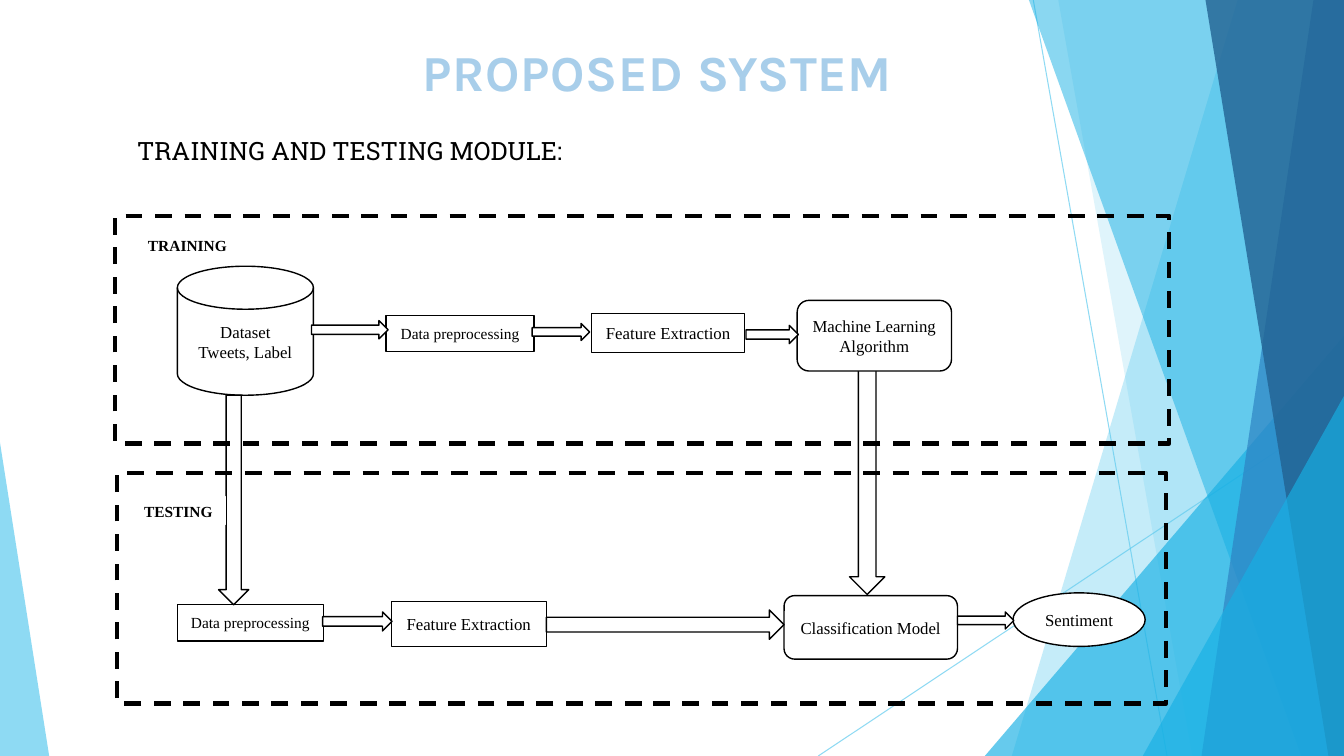
from lxml import etree
from pptx import Presentation
from pptx.dml.color import RGBColor
from pptx.enum.dml import MSO_LINE
from pptx.enum.shapes import MSO_CONNECTOR, MSO_SHAPE
from pptx.enum.text import MSO_ANCHOR, PP_ALIGN
from pptx.oxml.ns import qn
from pptx.util import Cm, Pt

RECTANGLE = MSO_SHAPE.RECTANGLE
ROUNDED = MSO_SHAPE.ROUNDED_RECTANGLE
CYLINDER = MSO_SHAPE.FLOWCHART_MAGNETIC_DISK
ELLIPSE = MSO_SHAPE.OVAL
TRIANGLE = MSO_SHAPE.ISOSCELES_TRIANGLE
RIGHT_ARROW = MSO_SHAPE.RIGHT_ARROW
DOWN_ARROW = MSO_SHAPE.DOWN_ARROW
STRAIGHT = MSO_CONNECTOR.STRAIGHT
DASH = MSO_LINE.DASH
LEFT, CENTER = PP_ALIGN.LEFT, PP_ALIGN.CENTER
TOP, MIDDLE = MSO_ANCHOR.TOP, MSO_ANCHOR.MIDDLE

TITLE_ONLY = 5
WIDTH, HEIGHT = 33.87, 19.05
COLORS = {
    "white": "FFFFFF", "black": "000000", "title": "A8CEEA", "sky": "5FCBEF",
    "cyan": "17B0E4", "blue": "2E83C3", "navy": "226292",
}
TITLE_FONT, HEADING_FONT, BODY_FONT = "Karla", "Roboto Slab", "Times New Roman"

BANDS_BEHIND = [(31.19, 25.5, "sky", 36), (26.67, 30.05, "sky", 20)]
BANDS_FRONT = [
    (25.93, 32.79, "cyan", 50),
    (33.1, 30.28, "blue", 70),
    (30.38, 33.48, "navy", 80),
]
NODES = [
    (CYLINDER, (4.47, 6.71, 3.43, 3.25), "Dataset\nTweets, Label", 12),
    (RECTANGLE, (9.73, 7.95, 3.73, 0.91), "Data preprocessing", 11),
    (RECTANGLE, (14.91, 7.9, 3.86, 0.99), "Feature Extraction", 12),
    (ROUNDED, (20.09, 7.57, 3.89, 1.78), "Machine Learning Algorithm", 12),
    (RECTANGLE, (4.47, 15.24, 3.68, 0.91), "Data preprocessing", 11),
    (RECTANGLE, (9.86, 15.16, 3.91, 1.14), "Feature Extraction", 12),
    (ROUNDED, (19.76, 15.01, 4.37, 1.6), "Classification Model", 12),
    (ELLIPSE, (25.53, 14.94, 3.33, 1.35), "Sentiment", 12),
]
ARROWS = [
    (DOWN_ARROW, (5.51, 9.96, 0.76, 5.28)),
    (RIGHT_ARROW, (7.85, 8.08, 1.93, 0.46)),
    (RIGHT_ARROW, (13.41, 8.15, 1.45, 0.43)),
    (RIGHT_ARROW, (18.8, 8.2, 1.32, 0.46)),
    (RIGHT_ARROW, (13.77, 15.37, 5.99, 0.74)),
    (RIGHT_ARROW, (8.13, 15.42, 1.75, 0.48)),
    (RIGHT_ARROW, (24.13, 15.42, 1.42, 0.43)),
]
MODULES = [
    ((2.9, 5.44, 26.57, 5.74), "TRAINING", (3.48, 5.82, 3.28, 0.76)),
    ((2.95, 11.91, 26.44, 5.82), "TESTING", (3.38, 12.52, 2.31, 0.69)),
]


def color(name):
    return RGBColor.from_string(COLORS[name])


def write(shape, text, font=BODY_FONT, size=12, ink="black", bold=False,
          align=CENTER, anchor=MIDDLE, margin=0.25, spacing=0):
    frame = shape.text_frame
    frame.word_wrap = True
    frame.vertical_anchor = anchor
    frame.margin_left = frame.margin_right = Cm(margin)
    frame.text = text
    for paragraph in frame.paragraphs:
        paragraph.alignment = align
        for run in paragraph.runs:
            run.font.name = font
            run.font.size = Pt(size)
            run.font.bold = bold
            run.font.color.rgb = color(ink)
            if spacing:
                run.font._element.set("spc", str(spacing))


class Diagram:
    def __init__(self, slide):
        self.slide = slide
        self.shapes = slide.shapes

    def make_translucent(self, shape, opacity):
        for node in shape.element.iter(qn("a:srgbClr")):
            etree.SubElement(node, qn("a:alpha"), val=str(opacity * 1000))

    def style(self, shape, fill=None, line=None, weight=1, dash=None):
        shape.shadow.inherit = False
        if fill:
            shape.fill.solid()
            shape.fill.fore_color.rgb = color(fill)
        else:
            shape.fill.background()
        if line:
            shape.line.color.rgb = color(line)
            shape.line.width = Pt(weight)
            if dash:
                shape.line.dash_style = dash
        else:
            shape.line.fill.background()

    def box(self, kind, place, fill="white", line="black", **look):
        shape = self.shapes.add_shape(kind, *(Cm(value) for value in place))
        self.style(shape, fill, line, **look)
        return shape

    def thin_line(self, start, end):
        points = [Cm(value) for value in start + end]
        connector = self.shapes.add_connector(STRAIGHT, *points)
        connector.line.color.rgb = color("sky")
        connector.line.width = Pt(0.75)
        properties = connector.element.find(qn("p:spPr"))
        etree.SubElement(properties, qn("a:effectLst"))
        self.make_translucent(connector, 70)

    def band(self, top_x, bottom_x, fill, opacity):
        builder = self.shapes.build_freeform(Cm(top_x), 0)
        corners = [(WIDTH, 0), (WIDTH, HEIGHT), (bottom_x, HEIGHT)]
        builder.add_line_segments([(Cm(x), Cm(y)) for x, y in corners])
        shape = builder.convert_to_shape()
        self.style(shape, fill)
        self.make_translucent(shape, opacity)

    def triangle(self, place, apex, fill, opacity):
        shape = self.box(TRIANGLE, place, fill, None)
        shape.adjustments[0] = apex
        self.make_translucent(shape, opacity)

    def title(self, text, place):
        title = self.shapes.title
        title.left, title.top, title.width, title.height = map(Cm, place)
        write(title, text, font=TITLE_FONT, size=36, ink="title", bold=True,
              spacing=50)
        title.element.getparent().append(title.element)

    def backdrop(self):
        self.thin_line((26.04, 0), (29.41, HEIGHT))
        self.thin_line((WIDTH, 10.24), (20.62, HEIGHT))
        for band in BANDS_BEHIND:
            self.band(*band)
        self.triangle((24.82, 8.46, 9.05, 10.59), 1, "cyan", 66)
        for band in BANDS_FRONT:
            self.band(*band)
        self.triangle((28.8, 9.98, 5.07, 9.07), 1, "cyan", 66)
        self.triangle((0, 11.15, 1.24, 7.9), 0, "sky", 70)

    def flow(self):
        self.box(DOWN_ARROW, (21.41, 9.14, 0.89, 5.84))
        for kind, place, text, size in NODES:
            write(self.box(kind, place), text, size=size, margin=0.1)
        for kind, place in ARROWS:
            self.box(kind, place)
        for frame, name, place in MODULES:
            self.box(RECTANGLE, frame, None, weight=3, dash=DASH)
            label = self.box(RECTANGLE, place, line="white", weight=0.5)
            write(label, name, size=11, bold=True, align=LEFT, anchor=TOP)


def main():
    presentation = Presentation()
    presentation.slide_width = Cm(WIDTH)
    presentation.slide_height = Cm(HEIGHT)
    layout = presentation.slide_layouts[TITLE_ONLY]
    diagram = Diagram(presentation.slides.add_slide(layout))
    diagram.backdrop()
    diagram.title("PROPOSED SYSTEM", (3.33, 0.84, 26.49, 1.93))
    diagram.flow()
    heading = diagram.box(RECTANGLE, (2.59, 3.18, 12.45, 1.22),
                          line="white", weight=1.5)
    write(heading, "TRAINING AND TESTING MODULE:", font=HEADING_FONT, size=18)
    presentation.save("out.pptx")


if __name__ == "__main__":
    main()
